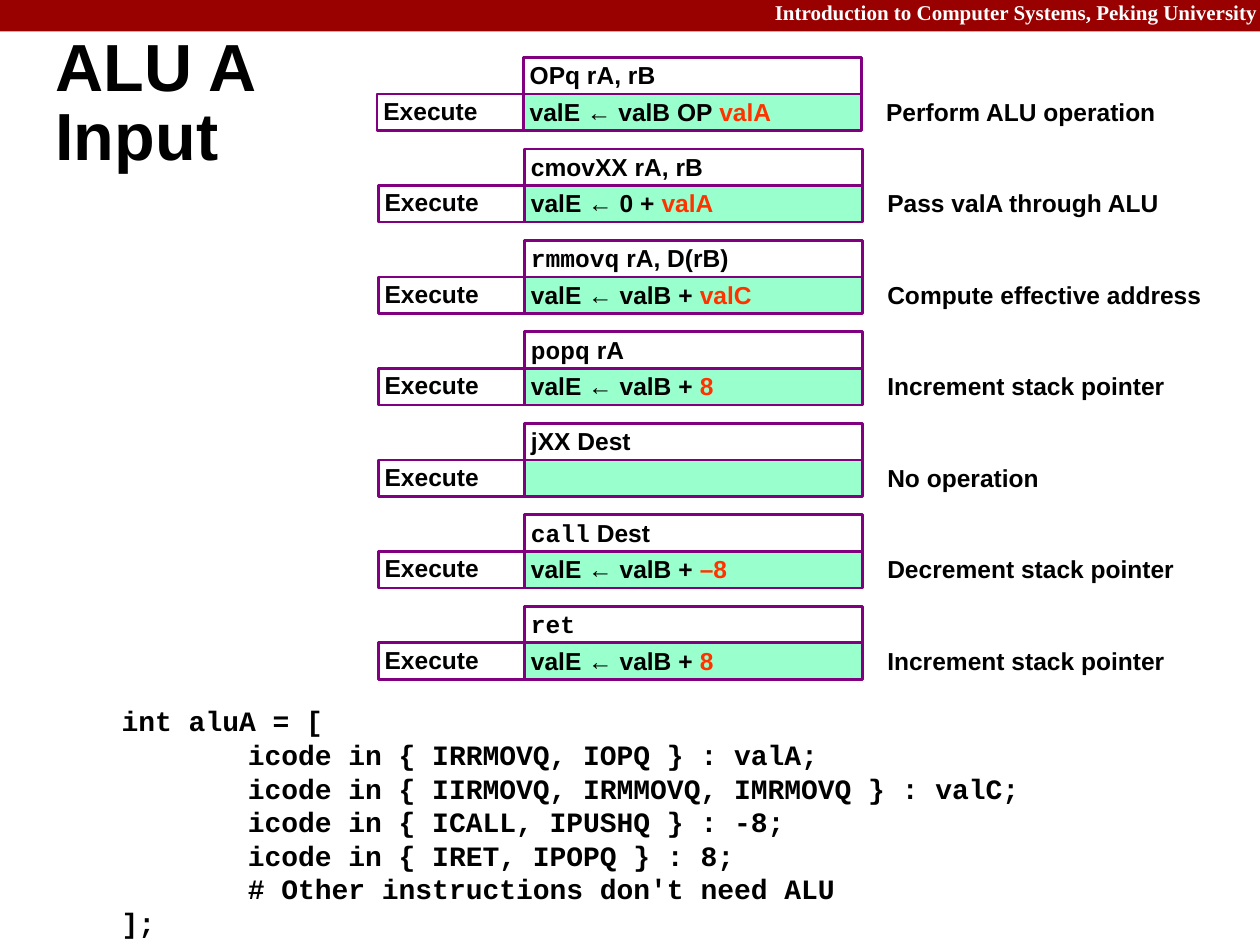
"""Build the ALU A Input slide: seven execute steps and the HCL code."""
from lxml.etree import SubElement as Sub
from pptx import Presentation
from pptx.dml.color import RGBColor
from pptx.enum.shapes import MSO_SHAPE as Kind
from pptx.enum.text import MSO_ANCHOR as Anchor, PP_ALIGN as Align
from pptx.oxml.ns import qn
from pptx.util import Pt

PX = 4572
SANS, MONO, SERIF = "Arial", "Courier New", "Times New Roman"
BLACK, RED, GREEN, PURPLE = "000000", "FF3300", "99FFCC", "800080"


def paint(form, color):
    form.rgb = RGBColor.from_string(color)


def write(shape, lines, size=14, space=0.9, inset=10, anchor=Anchor.TOP, align=Align.LEFT):
    frame = shape.text_frame
    look = dict(word_wrap=True, vertical_anchor=anchor, margin_left=inset * PX,
                margin_right=inset * PX, margin_top=inset * PX, margin_bottom=inset * PX)
    for key, val in look.items():
        setattr(frame, key, val)
    for n, runs in enumerate(lines):
        para = frame.add_paragraph() if n else frame.paragraphs[0]
        para.alignment, para.line_spacing, para.space_before = align, space, Pt(0)
        for text, face, color in runs:
            for k, part in enumerate(text.split("\v")):
                if k:
                    para.add_line_break()
                run = para.add_run()
                run.text = part
                for key, val in dict(name=face, size=Pt(size), bold=True).items():
                    setattr(run.font, key, val)
                paint(run.font.color, color)


deck = Presentation()
deck.slide_width, deck.slide_height = 1998 * PX, 1498 * PX
slide = deck.slides.add_slide(deck.slide_layouts[5])
shapes = slide.shapes

bar = shapes.add_shape(Kind.RECTANGLE, 0, 0, 1998 * PX, 50 * PX)
bar.shadow.inherit = False
bar.fill.solid()
paint(bar.fill.fore_color, "990000")
bar.line.fill.background()

head = shapes.add_textbox(1200 * PX, -6 * PX, 804 * PX, 56 * PX)
write(head, [[("Introduction to Computer Systems, Peking University", SERIF, "FFFFFF")]],
      size=12, align=Align.RIGHT)

title = shapes.title
title.left, title.top, title.width, title.height = 88 * PX, 82 * PX, 1904 * PX, 170 * PX
write(title, [[("ALU A\vInput", SANS, BLACK)]], size=38, space=0.87, inset=0,
      anchor=Anchor.MIDDLE)

steps = [
    ("", "OPq rA, rB", "valE ← valB OP ", "valA", "Perform ALU operation"),
    ("", "cmovXX rA, rB", "valE ← 0 + ", "valA", "Pass valA through ALU"),
    ("rmmovq", " rA, D(rB)", "valE ← valB + ", "valC", "Compute effective address"),
    ("popq", " rA", "valE ← valB + ", "8", "Increment stack pointer"),
    ("", "jXX Dest", "", "", "No operation"),
    ("call", " Dest", "valE ← valB + ", "–8", "Decrement stack pointer"),
    ("ret", "", "valE ← valB + ", "8", "Increment stack pointer"),
]
HIGH, PITCH = 58, 145
for n, (code, args, left, right, note) in enumerate(steps):
    top = 91 + n * PITCH
    low = top + HIGH
    edge = 832 if n else 830
    cells = [
        (edge, top, 536, None, Anchor.TOP, [(code, MONO, BLACK), (args, SANS, BLACK)]),
        (edge - 232, low, 232, None, Anchor.MIDDLE, [("Execute", SANS, BLACK)]),
        (edge, low, 536, GREEN, Anchor.TOP, [(left, SANS, BLACK), (right, SANS, RED)]),
    ]
    for x, y, wide, fill, anchor, runs in cells:
        cell = shapes.add_shape(Kind.RECTANGLE, x * PX, y * PX, wide * PX, HIGH * PX)
        cell.shadow.inherit = False
        if fill:
            cell.fill.solid()
            paint(cell.fill.fore_color, fill)
        else:
            cell.fill.background()
        paint(cell.line.color, PURPLE)
        cell.line.width = Pt(1.5)
        write(cell, [[run for run in runs if run[0]]], anchor=anchor)
    label = shapes.add_textbox((edge + 565) * PX, low * PX, 536 * PX, HIGH * PX)
    write(label, [[(note, SANS, BLACK)]])

code = """int aluA = [
\ticode in { IRRMOVQ, IOPQ } : valA;
\ticode in { IIRMOVQ, IRMMOVQ, IMRMOVQ } : valC;
\ticode in { ICALL, IPUSHQ } : -8;
\ticode in { IRET, IPOPQ } : 8;
\t# Other instructions don't need ALU
];"""
block = shapes.add_textbox(183 * PX, 1106 * PX, 1750 * PX, 392 * PX)
write(block, [[(line, MONO, BLACK)] for line in code.split("\n")], size=16, space=1.0)
for para in block.text_frame.paragraphs:
    tabs = Sub(para._p.get_or_add_pPr(), qn("a:tabLst"))
    Sub(tabs, qn("a:tab"), pos=str(200 * PX), algn="l")

deck.save("out.pptx")
